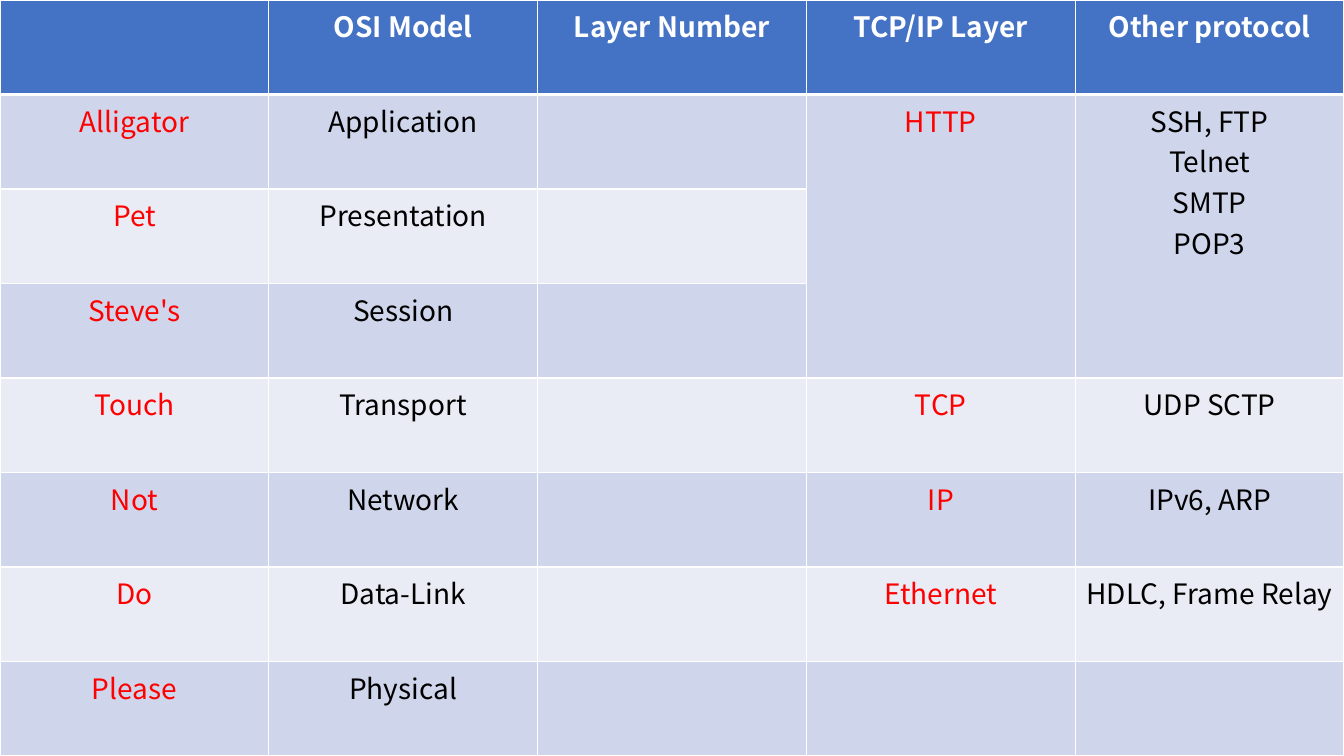
from lxml import etree
from pptx import Presentation
from pptx.dml.color import RGBColor
from pptx.enum.text import PP_ALIGN
from pptx.oxml.ns import qn
from pptx.util import Cm, Pt

CENTER = PP_ALIGN.CENTER
WIDTH, HEIGHT = 33.87, 19.05
BLANK_LAYOUT = 6
WHITE, BLACK, RED = "FFFFFF", "000000", "FF0000"
HEADER_BLUE = "4472C4"
BANDS = ["E9EBF5", "CFD5EA"]
MNEMONIC_COLUMN, TCP_IP_COLUMN, OTHER_COLUMN = 0, 3, 4
RED_COLUMNS = (MNEMONIC_COLUMN, TCP_IP_COLUMN)
MERGED_ROWS = (1, 3)

LAYERS = [
    ["", "OSI Model", "Layer Number", "TCP/IP Layer", "Other protocol"],
    ["Alligator", "Application", "", "HTTP", "SSH, FTP\nTelnet\nSMTP\nPOP3"],
    ["Pet", "Presentation", "", "", ""],
    ["Steve's", "Session", "", "", ""],
    ["Touch", "Transport", "", "TCP", "UDP SCTP"],
    ["Not", "Network", "", "IP", "IPv6, ARP"],
    ["Do", "Data-Link", "", "Ethernet", "HDLC, Frame Relay"],
    ["Please", "Physical", "", "", ""],
]


def color(hex_value):
    """Turn a hex string into a colour."""
    return RGBColor.from_string(hex_value)


class SlideBuilder:
    """Hold the text style and the current slide."""

    def __init__(self, slide, font_name, font_size):
        """Keep the slide and the style of its text."""
        self.slide = slide
        self.font_name = font_name
        self.font_size = font_size

    def table(self, rows):
        """Add a table that fills the slide with equal rows and columns."""
        frame = self.slide.shapes.add_table(
            len(rows), len(rows[0]), Cm(0), Cm(0), Cm(WIDTH), Cm(HEIGHT))
        table = frame.table
        for row_index, row in enumerate(rows):
            is_header = row_index == 0
            fill = HEADER_BLUE if is_header else BANDS[row_index % 2]
            for column_index, text in enumerate(row):
                cell = table.cell(row_index, column_index)
                self.borders(cell, top=3 if row_index == 1 else 1,
                             bottom=3 if is_header else 1)
                cell.fill.solid()
                cell.fill.fore_color.rgb = color(fill)
                body_color = RED if column_index in RED_COLUMNS else BLACK
                self.cell_text(cell, text, WHITE if is_header else body_color,
                               is_header)
        return table

    def cell_text(self, cell, text, text_color, bold):
        """Write centred text in a cell, one paragraph per line."""
        cell.text = text
        for paragraph in cell.text_frame.paragraphs:
            paragraph.alignment = CENTER
            font = paragraph.font
            font.name = self.font_name
            font.size = Pt(self.font_size)
            font.bold = bold
            font.color.rgb = color(text_color)

    def borders(self, cell, top, bottom):
        """Draw white lines around a cell, with widths in points."""
        properties = cell._tc.get_or_add_tcPr()
        widths = {"a:lnL": 1, "a:lnR": 1, "a:lnT": top, "a:lnB": bottom}
        for tag, width in widths.items():
            line = etree.SubElement(properties, qn(tag), w=str(Pt(width)))
            fill = etree.SubElement(line, qn("a:solidFill"))
            etree.SubElement(fill, qn("a:srgbClr"), val=WHITE)


def main():
    """Build the slide of network layers."""
    presentation = Presentation()
    presentation.slide_width = Cm(WIDTH)
    presentation.slide_height = Cm(HEIGHT)
    slide = presentation.slides.add_slide(
        presentation.slide_layouts[BLANK_LAYOUT])
    builder = SlideBuilder(slide, "Noto Sans CJK KR", 20)
    table = builder.table(LAYERS)
    first_row, last_row = MERGED_ROWS
    for column in (TCP_IP_COLUMN, OTHER_COLUMN):
        table.cell(first_row, column).merge(table.cell(last_row, column))
    presentation.save("out.pptx")


if __name__ == "__main__":
    main()
